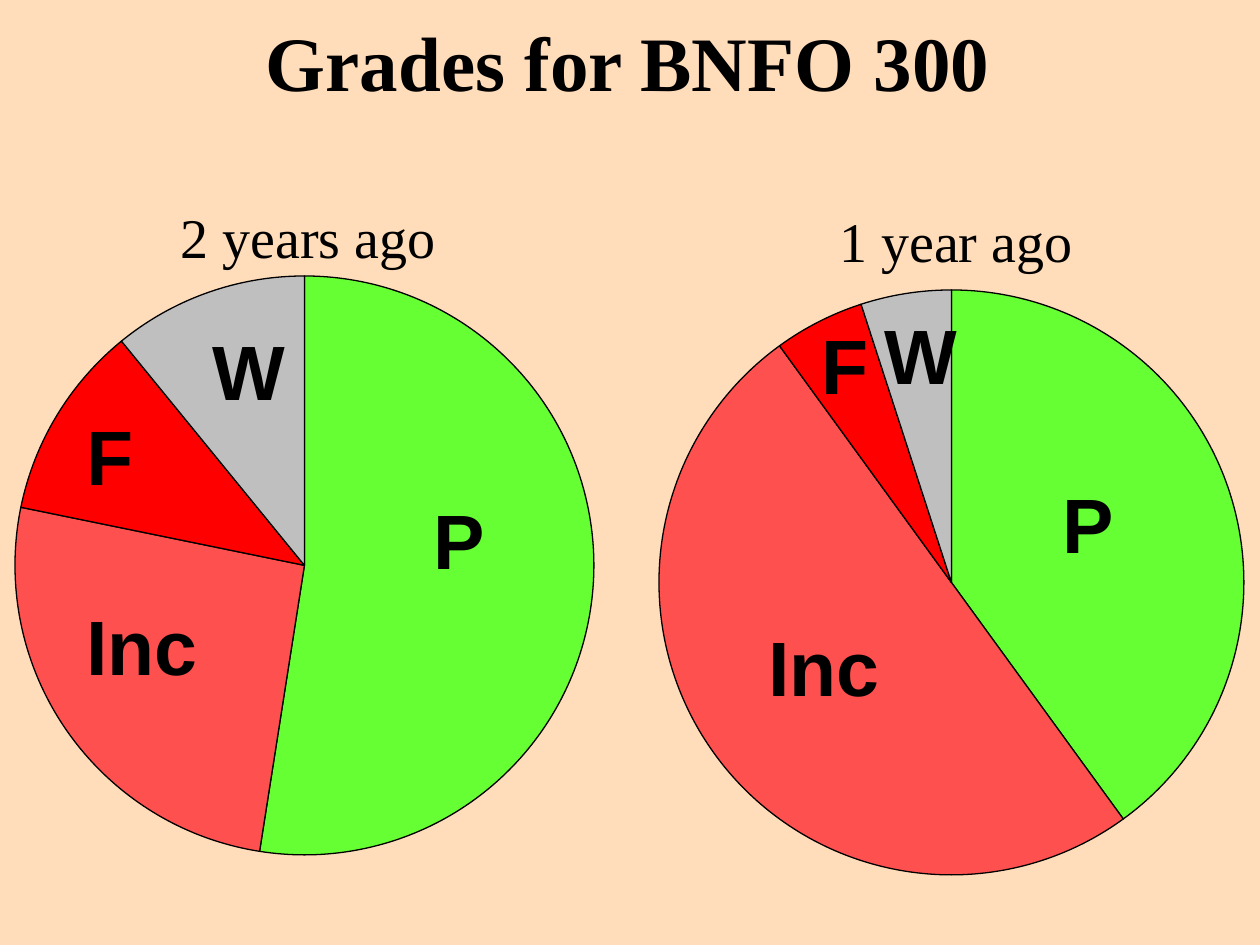
"""Build a slide with two pie charts of course grades."""
import pptx
import pptx.chart.data
import pptx.dml.color
import pptx.enum.chart
import pptx.enum.text
import pptx.util
from lxml import etree

RGB = pptx.dml.color.RGBColor
BLACK = RGB(0x00, 0x00, 0x00)
PEACH = RGB(0xFF, 0xDD, 0xBB)
GREEN = RGB(0x66, 0xFF, 0x33)
ROSE = RGB(0xFF, 0x50, 0x50)
RED = RGB(0xFF, 0x00, 0x00)
GRAY = RGB(0xBF, 0xBF, 0xBF)
HUES = [GREEN, ROSE, RED, GRAY]
SCALE = 914400 // 126

TITLE = ("Grades for BNFO 300", (19, 2, 1218, 105))
PIES = [
    {"head": "2 years ago", "spot": (98, 190, 420, 81),
     "frame": (-63, 258, 736, 614), "disc": (15, 276, 579, 579),
     "vals": [53, 26, 11, 11],
     "marks": [("P", 421, 480, 84), ("Inc", 74, 586, 168),
               ("F", 74, 396, 84), ("W", 200, 311, 84)]},
    {"head": "1 year ago", "spot": (746, 193, 420, 81),
     "frame": (609, 273, 684, 620), "disc": (659, 290, 585, 585),
     "vals": [40, 50, 5, 5],
     "marks": [("P", 1050, 464, 84), ("Inc", 756, 607, 168),
               ("F", 809, 305, 84), ("W", 872, 294, 84)]},
]


def px(*nums):
    return [num * SCALE for num in nums]


def put_text(shape, text, size=44, font="Arial", bold=True, align="LEFT"):
    frame = shape.text_frame
    frame.text = text
    frame.word_wrap = True
    frame.auto_size = pptx.enum.text.MSO_AUTO_SIZE.NONE
    frame.vertical_anchor = pptx.enum.text.MSO_ANCHOR.TOP
    frame.margin_top, frame.margin_bottom = px(13, 4)
    para = frame.paragraphs[0]
    para.alignment = pptx.enum.text.PP_ALIGN[align]
    face = para.runs[0].font
    face.size, face.name, face.bold = pptx.util.Pt(size), font, bold
    face.color.rgb = BLACK


def place_plot(chart, box, disc):
    plot = chart._chartSpace.chart.plotArea
    space = plot.nsmap["c"]
    for old in plot.findall(f"{{{space}}}layout"):
        plot.remove(old)
    outer = etree.Element(f"{{{space}}}layout")
    inner = etree.SubElement(outer, f"{{{space}}}manualLayout")
    left, top, wide, high = box
    parts = {"layoutTarget": "inner", "xMode": "edge", "yMode": "edge",
             "x": (disc[0] - left) / wide, "y": (disc[1] - top) / high,
             "w": disc[2] / wide, "h": disc[3] / high}
    for tag, val in parts.items():
        etree.SubElement(inner, f"{{{space}}}{tag}").set("val", str(val))
    plot.insert(0, outer)


def add_pie(slide, pie):
    data = pptx.chart.data.CategoryChartData()
    data.categories = ["1", "2", "3", "4"]
    data.add_series("Series 1", pie["vals"])
    kind = pptx.enum.chart.XL_CHART_TYPE.PIE
    chart = slide.shapes.add_chart(kind, *px(*pie["frame"]), data).chart
    chart.has_title = chart.has_legend = False
    chart.font.size, chart.font.name = pptx.util.Pt(10), "Arial"
    chart.font.color.rgb = BLACK
    chart.plots[0].vary_by_categories = True
    series = chart.plots[0].series[0]
    forms = [series.points[num].format for num in range(len(HUES))]
    for form, hue in zip(forms, HUES):
        form.fill.solid()
        form.fill.fore_color.rgb = hue
    for form in [series.format, *forms]:
        form.line.color.rgb = BLACK
        form.line.width = pptx.util.Pt(0.75)
    place_plot(chart, pie["frame"], pie["disc"])


def main():
    deck = pptx.Presentation()
    deck.slide_width, deck.slide_height = px(1260, 945)
    slide = deck.slides.add_slide(deck.slide_layouts[5])
    slide.background.fill.solid()
    slide.background.fill.fore_color.rgb = PEACH
    text, box = TITLE
    title = slide.shapes.title
    title.left, title.top, title.width, title.height = px(*box)
    put_text(title, text, font="Times New Roman", align="CENTER")
    for pie in PIES:
        add_pie(slide, pie)
        for text, left, top, wide in pie["marks"]:
            mark = slide.shapes.add_textbox(*px(left, top, wide, 106))
            put_text(mark, text)
        head = slide.shapes.add_textbox(*px(*pie["spot"]))
        put_text(head, pie["head"], size=32, font="Times New Roman",
                 bold=False, align="CENTER")
    deck.save("out.pptx")


if __name__ == "__main__":
    main()
